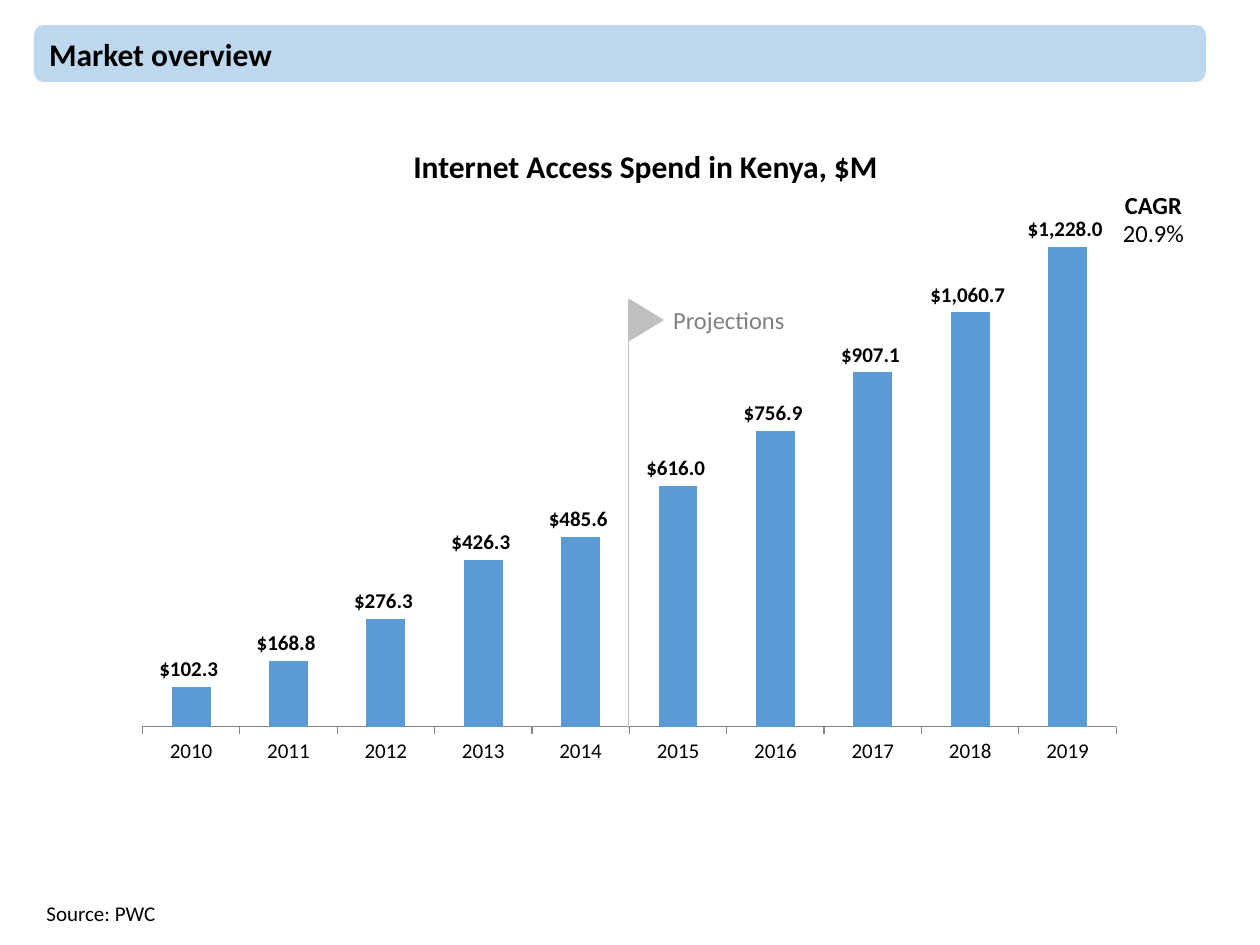
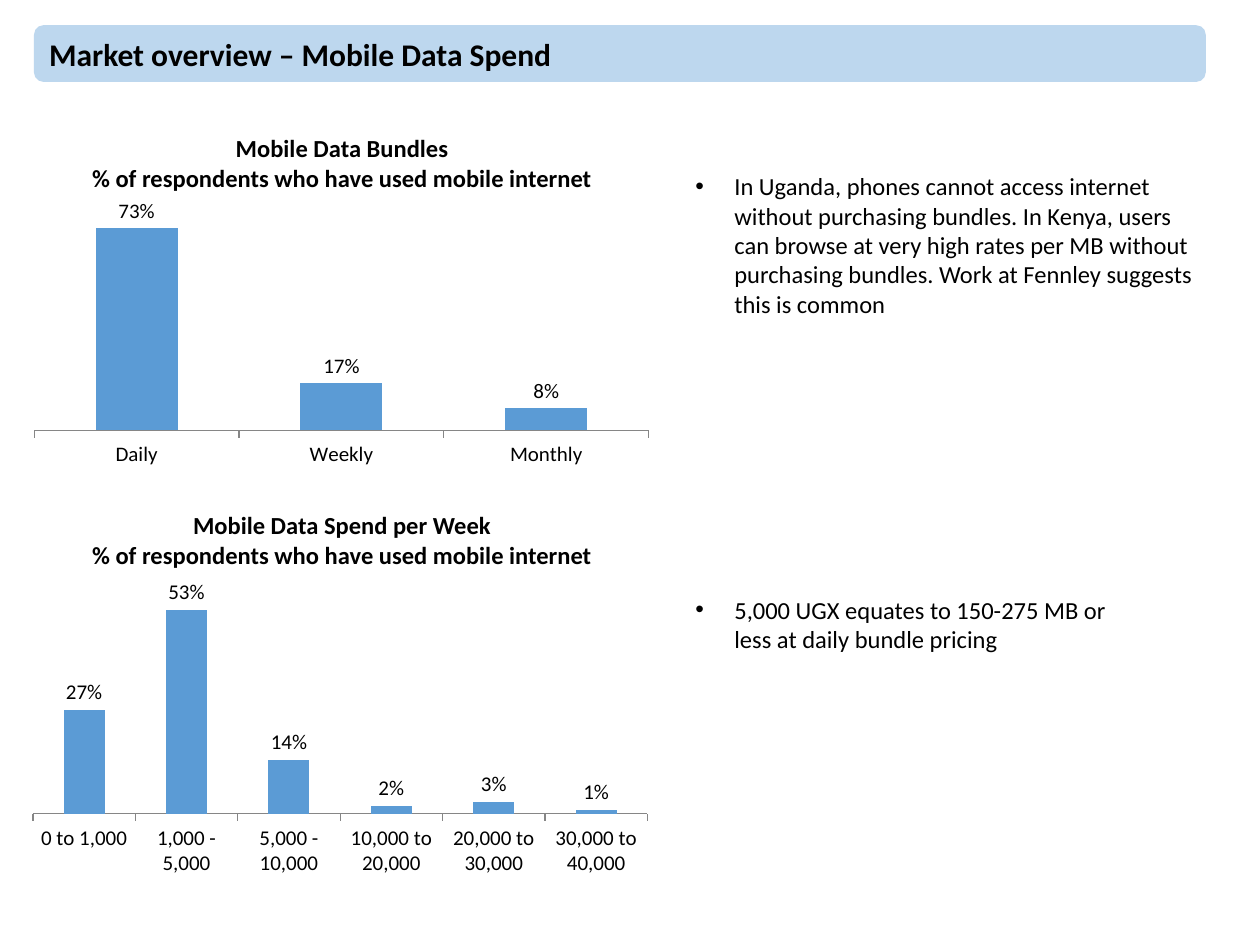
"""Build two market overview slides with column charts."""
from dataclasses import dataclass

from lxml.etree import SubElement
from pptx import Presentation
from pptx.chart.data import CategoryChartData
from pptx.dml.color import RGBColor
from pptx.enum.chart import XL_CHART_TYPE as ChartType
from pptx.enum.chart import XL_LABEL_POSITION as LabelPosition
from pptx.enum.chart import XL_TICK_MARK as TickMark
from pptx.enum.shapes import MSO_CONNECTOR as Connector
from pptx.enum.shapes import MSO_SHAPE as ShapeKind
from pptx.enum.text import MSO_ANCHOR as Anchor
from pptx.enum.text import MSO_AUTO_SIZE as AutoSize
from pptx.enum.text import PP_ALIGN as Align
from pptx.oxml.ns import qn
from pptx.slide import Slide
from pptx.util import Inches, Pt

FONT = "Calibri"
COLORS = {
    "text": "000000",
    "muted": "808080",
    "band": "BDD7EE",
    "bar": "5B9BD5",
    "marker": "BFBFBF",
    "axis": "868686",
}
DOLLARS = '"$"#,##0.0_);[Red]\\("$"#,##0.0\\)'
PERCENT = "0%"
RESPONDENTS = "% of respondents who have used mobile internet"


@dataclass(frozen=True)
class Box:
    left: float
    top: float
    width: float
    height: float

    def lengths(self) -> tuple:
        return tuple(map(Inches, (self.left, self.top, self.width, self.height)))


@dataclass(frozen=True)
class TextBlock:
    box: Box
    lines: tuple[str, ...]
    size: int = 14
    bold: bool = False
    color: str = "text"
    align: Align = Align.LEFT
    margin: float = 0.05
    left_indent: float = 0
    bullet: bool = False
    grow: bool = False


@dataclass(frozen=True)
class ColumnChart:
    box: Box
    values: dict[str, float]
    number_format: str
    bold_labels: bool = False


def color(name: str) -> RGBColor:
    return RGBColor.from_string(COLORS[name])


def add_run(paragraph, text: str, size: int, bold: bool = False, color_name: str = "text") -> None:
    run = paragraph.add_run()
    run.text = text
    style_font(run.font, size, bold, color_name)


def style_font(font, size: int, bold: bool = False, color_name: str = "text") -> None:
    font.name = FONT
    font.size = Pt(size)
    font.bold = bold
    font.color.rgb = color(color_name)


def add_filled_shape(slide: Slide, kind: ShapeKind, box: Box, fill: str):
    shape = slide.shapes.add_shape(kind, *box.lengths())
    shape.shadow.inherit = False
    shape.fill.solid()
    shape.fill.fore_color.rgb = color(fill)
    shape.line.fill.background()
    return shape


def add_title_band(slide: Slide, title: str) -> None:
    band = add_filled_shape(slide, ShapeKind.ROUNDED_RECTANGLE, Box(0.27, 0.2, 9.3, 0.45), "band")
    band.text_frame.vertical_anchor = Anchor.MIDDLE
    paragraph = band.text_frame.paragraphs[0]
    paragraph.alignment = Align.LEFT
    add_run(paragraph, title, 18, bold=True)


def indent_paragraph(paragraph, left: float, first_line: float = 0) -> None:
    properties = paragraph._p.get_or_add_pPr()
    properties.set("marL", str(Inches(left)))
    properties.set("indent", str(Inches(first_line)))


def add_bullet(paragraph) -> None:
    indent_paragraph(paragraph, 0.31, -0.31)
    properties = paragraph._p.get_or_add_pPr()
    SubElement(properties, qn("a:buFont")).set("typeface", "Arial")
    SubElement(properties, qn("a:buChar")).set("char", "•")


def add_text(slide: Slide, block: TextBlock) -> None:
    frame = slide.shapes.add_textbox(*block.box.lengths()).text_frame
    frame.word_wrap = True
    frame.auto_size = AutoSize.SHAPE_TO_FIT_TEXT if block.grow else AutoSize.NONE
    frame.margin_top = frame.margin_bottom = Inches(block.margin)
    for index, line in enumerate(block.lines):
        paragraph = frame.add_paragraph() if index else frame.paragraphs[0]
        if block.bullet:
            add_bullet(paragraph)
        elif block.left_indent:
            indent_paragraph(paragraph, block.left_indent)
        paragraph.alignment = block.align
        add_run(paragraph, line, block.size, block.bold, block.color)


def add_column_chart(slide: Slide, spec_chart: ColumnChart) -> None:
    data = CategoryChartData(number_format=spec_chart.number_format)
    data.categories = list(spec_chart.values)
    data.add_series("Series 1", list(spec_chart.values.values()))
    frame = slide.shapes.add_chart(ChartType.COLUMN_CLUSTERED, *spec_chart.box.lengths(), data)
    chart = frame.chart
    chart.has_legend = False
    chart.has_title = False
    style_font(chart.font, 12)

    value_axis = chart.value_axis
    value_axis.visible = False
    value_axis.has_major_gridlines = False
    value_axis.tick_labels.number_format = spec_chart.number_format
    value_axis.tick_labels.number_format_is_linked = False
    category_axis = chart.category_axis
    category_axis.has_major_gridlines = False
    category_axis.major_tick_mark = TickMark.OUTSIDE
    category_axis.format.line.color.rgb = color("axis")

    plot = chart.plots[0]
    plot.gap_width = 150
    plot.vary_by_categories = False
    series = plot.series[0]
    series.format.fill.solid()
    series.format.fill.fore_color.rgb = color("bar")
    plot.has_data_labels = True
    labels = plot.data_labels
    labels.show_value = True
    labels.position = LabelPosition.OUTSIDE_END
    labels.number_format = spec_chart.number_format
    labels.number_format_is_linked = False
    style_font(labels.font, 12, spec_chart.bold_labels)


def add_projection_marker(slide: Slide) -> None:
    flag = add_filled_shape(slide, ShapeKind.ISOSCELES_TRIANGLE, Box(4.96, 2.4, 0.34, 0.28), "marker")
    flag.rotation = 90
    ends = map(Inches, (4.99, 5.78, 4.99, 2.38))
    pole = slide.shapes.add_connector(Connector.STRAIGHT, *ends)
    pole.line.color.rgb = color("marker")
    pole.line.width = Pt(0.5)
    SubElement(pole._element.spPr, qn("a:effectLst"))


def chart_note(box: Box, text: str, size: int = 14, bold: bool = False,
               color_name: str = "text") -> TextBlock:
    return TextBlock(box, (text,), size, bold, color_name, Align.CENTER, 0.1, 0.25)


def chart_heading(top: float, title: str) -> TextBlock:
    return TextBlock(Box(0.33, top, 4.77, 0.57), (title, RESPONDENTS), bold=True,
                     align=Align.CENTER, grow=True)


def build_internet_spend(slide: Slide) -> None:
    spend = (102.3, 168.8, 276.3, 426.3, 485.6, 616, 756.9, 907.1, 1060.7, 1228)
    by_year = {str(year): value for year, value in enumerate(spend, start=2010)}
    add_column_chart(slide, ColumnChart(Box(0.97, 1.33, 8.05, 4.83), by_year, DOLLARS, True))
    add_title_band(slide, "Market overview")
    add_projection_marker(slide)
    for block in (
        chart_note(Box(4.74, 2.32, 1.84, 0.5), "Projections", color_name="muted"),
        chart_note(Box(1.5, 1.07, 7, 0.5), "Internet Access Spend in Kenya, $M", 18, True),
        chart_note(Box(8.11, 1.41, 1.84, 0.5), "CAGR", bold=True),
        chart_note(Box(8.11, 1.63, 1.84, 0.5), "20.9%"),
        TextBlock(Box(0.27, 7.1, 2.68, 0.3), ("Source: PWC",), 12, grow=True),
    ):
        add_text(slide, block)


def build_mobile_spend(slide: Slide) -> None:
    add_title_band(slide, "Market overview – Mobile Data Spend")
    bundles = {"Daily": 0.73, "Weekly": 0.17, "Monthly": 0.08}
    weekly_spend = {
        "0 to 1,000": 0.27,
        "1,000 - 5,000": 0.53,
        "5,000 - 10,000": 0.14,
        "10,000 to 20,000": 0.02,
        "20,000 to 30,000": 0.03,
        "30,000 to 40,000": 0.01,
    }
    add_column_chart(slide, ColumnChart(Box(0.17, 1.58, 5.08, 2.17), bundles, PERCENT))
    add_column_chart(slide, ColumnChart(Box(0.16, 4.58, 5.08, 2.42), weekly_spend, PERCENT))
    for block in (
        chart_heading(1.01, "Mobile Data Bundles"),
        chart_heading(4, "Mobile Data Spend per Week"),
        TextBlock(
            Box(5.42, 1.31, 4.15, 1.06),
            ("In Uganda, phones cannot access internet without purchasing bundles. "
             "In Kenya, users can browse at very high rates per MB without purchasing "
             "bundles. Work at Fennley suggests this is common",),
            bullet=True,
        ),
        TextBlock(
            Box(5.42, 4.67, 3.75, 1.06),
            ("5,000 UGX equates to 150-275 MB or less at daily bundle pricing",),
            bullet=True,
        ),
    ):
        add_text(slide, block)


def main() -> None:
    presentation = Presentation()
    presentation.slide_width = Inches(10)
    presentation.slide_height = Inches(7.5)
    blank_layout = presentation.slide_layouts[6]
    for build in (build_internet_spend, build_mobile_spend):
        build(presentation.slides.add_slide(blank_layout))
    presentation.save("out.pptx")


if __name__ == "__main__":
    main()
